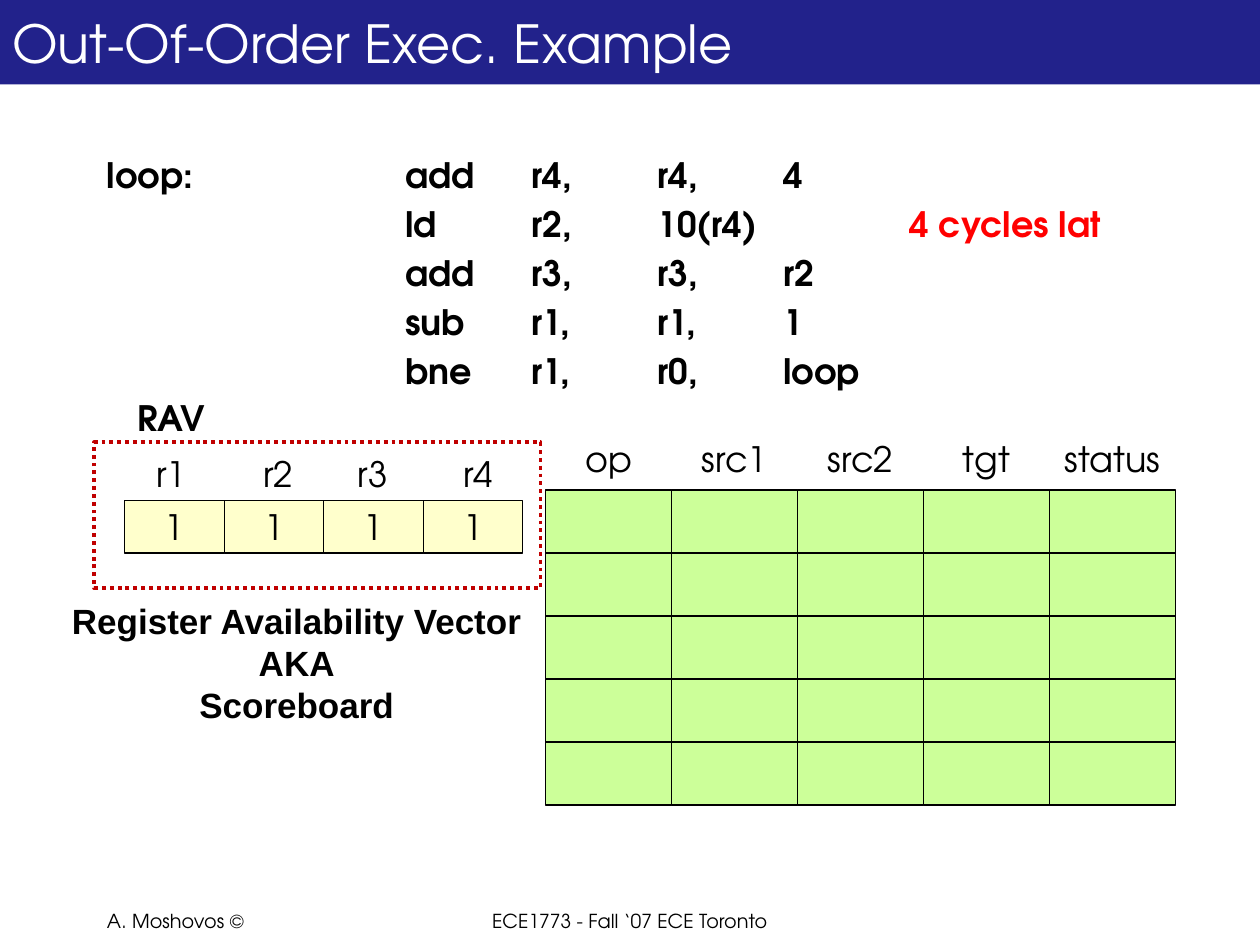
from lxml import etree
from pptx import Presentation
from pptx.dml.color import RGBColor
from pptx.enum.dml import MSO_LINE
from pptx.enum.shapes import MSO_SHAPE
from pptx.enum.text import MSO_ANCHOR, PP_ALIGN
from pptx.oxml.ns import qn
from pptx.util import Inches, Pt

RECTANGLE = MSO_SHAPE.RECTANGLE
DOTTED = MSO_LINE.ROUND_DOT
LEFT, CENTER = PP_ALIGN.LEFT, PP_ALIGN.CENTER
TOP, MIDDLE = MSO_ANCHOR.TOP, MSO_ANCHOR.MIDDLE

BLACK = RGBColor(0x00, 0x00, 0x00)
WHITE = RGBColor(0xFF, 0xFF, 0xFF)
NAVY = RGBColor(0x22, 0x22, 0x8B)
RED = RGBColor(0xFF, 0x00, 0x00)
DARK_RED = RGBColor(0xC0, 0x00, 0x00)
CREAM = RGBColor(0xFF, 0xFF, 0xCC)
GREEN = RGBColor(0xCC, 0xFF, 0x99)

MAIN_FONT = "TeX Gyre Adventor"
CODE_TABS = (2.37, 3.37, 4.37, 5.37, 6.37)
CODE_LINES = (
    ("loop:\tadd\tr4,\tr4,\t4", ""),
    ("\tld\tr2,\t10(r4)\t\t", "4 cycles lat"),
    ("\tadd\tr3,\tr3,\tr2", ""),
    ("\tsub\tr1,\tr1,\t1", ""),
    ("\tbne\tr1,\tr0,\tloop", ""),
)
REGISTERS = (("r1", 1.14), ("r2", 1.99), ("r3", 2.74), ("r4", 3.58))
REGISTER_LEFT, REGISTER_WIDTH = 0.99, 0.79
COLUMNS = ("op", "src1", "src2", "tgt", "status")
TABLE_LEFT, TABLE_TOP = 4.33, 3.89
ROW_COUNT, ROW_HEIGHT, COLUMN_WIDTH = 5, 0.5, 1


def style_paragraph(paragraph, size=20, color=BLACK, bold=False, font=MAIN_FONT):
    """Set the font of a whole paragraph."""
    paragraph.font.name = font
    paragraph.font.size = Pt(size)
    paragraph.font.bold = bold
    paragraph.font.color.rgb = color


def write_lines(shape, lines, align=LEFT, anchor=TOP, wrap=False, **style):
    """Fill a shape with one styled paragraph per line."""
    frame = shape.text_frame
    frame.word_wrap = wrap
    frame.vertical_anchor = anchor
    for index, line in enumerate(lines):
        paragraph = frame.add_paragraph() if index else frame.paragraphs[0]
        paragraph.text = line
        paragraph.alignment = align
        style_paragraph(paragraph, **style)


def add_label(slide, left, top, width, height, *lines, **style):
    """Add a text box holding the given lines."""
    box = slide.shapes.add_textbox(
        Inches(left), Inches(top), Inches(width), Inches(height))
    write_lines(box, lines, **style)


def add_box(slide, left, top, width, height, fill=None, line=None, weight=0.75):
    """Add a rectangle with an optional fill and outline."""
    box = slide.shapes.add_shape(
        RECTANGLE, Inches(left), Inches(top), Inches(width), Inches(height))
    box.shadow.inherit = False
    if fill is None:
        box.fill.background()
    else:
        box.fill.solid()
        box.fill.fore_color.rgb = fill
    if line is None:
        box.line.fill.background()
    else:
        box.line.color.rgb = line
        box.line.width = Pt(weight)
    return box


def add_tab_stops(paragraph, positions):
    """Give a paragraph left tab stops at the given inches."""
    tab_list = etree.SubElement(paragraph._p.get_or_add_pPr(), qn("a:tabLst"))
    for position in positions:
        etree.SubElement(tab_list, qn("a:tab"), pos=str(Inches(position)), algn="l")


def add_code(slide):
    """Add the assembly loop with its latency remark."""
    box = slide.shapes.add_textbox(
        Inches(0.75), Inches(1.17), Inches(8.5), Inches(1.7))
    frame = box.text_frame
    frame.word_wrap = True
    for index, (instruction, remark) in enumerate(CODE_LINES):
        paragraph = frame.add_paragraph() if index else frame.paragraphs[0]
        if index:
            paragraph.space_before = Pt(4)
        add_tab_stops(paragraph, CODE_TABS)
        style_paragraph(paragraph, bold=True)
        paragraph.add_run().text = instruction
        if remark:
            run = paragraph.add_run()
            run.text = remark
            run.font.color.rgb = RED


def add_register_vector(slide):
    """Add the register availability vector, its frame and captions."""
    add_label(slide, 0.99, 3.1, 0.76, 0.43, "RAV", bold=True)
    for index, (name, label_left) in enumerate(REGISTERS):
        cell = add_box(slide, REGISTER_LEFT + index * REGISTER_WIDTH, 3.97,
                       REGISTER_WIDTH, 0.42, CREAM, BLACK)
        write_lines(cell, ["1"], align=CENTER, anchor=MIDDLE)
        add_label(slide, label_left, 3.54, 0.44, 0.43, name)
    frame = add_box(slide, 0.75, 3.51, 3.54, 1.16, line=DARK_RED, weight=2.25)
    frame.line.dash_style = DOTTED
    add_label(slide, 0.46, 4.71, 3.79, 1.11, "Register Availability Vector",
              "AKA", "Scoreboard", align=CENTER, bold=True, font="Arial")


def add_instruction_grid(slide):
    """Add the empty instruction grid under its column headings."""
    for column, heading in enumerate(COLUMNS):
        left = TABLE_LEFT + column * COLUMN_WIDTH
        add_label(slide, left, TABLE_TOP - ROW_HEIGHT, COLUMN_WIDTH, ROW_HEIGHT,
                  heading, align=CENTER, anchor=MIDDLE)
        for row in range(ROW_COUNT):
            add_box(slide, left, TABLE_TOP + row * ROW_HEIGHT,
                    COLUMN_WIDTH, ROW_HEIGHT, GREEN, BLACK)


def main():
    """Build and save the slide."""
    presentation = Presentation()
    presentation.slide_width = Inches(10)
    presentation.slide_height = Inches(7.5)
    slide = presentation.slides.add_slide(presentation.slide_layouts[6])
    add_label(slide, 0.75, 7.17, 2.08, 0.42, "A. Moshovos ©", size=11, wrap=True)
    add_label(slide, 3.25, 7.17, 3.5, 0.42, "ECE1773 - Fall ‘07 ECE Toronto",
              size=11, align=CENTER, wrap=True)
    title = add_box(slide, 0, 0, 10, 0.67, NAVY)
    write_lines(title, ["Out-Of-Order Exec. Example"], anchor=MIDDLE, wrap=True,
                size=30, color=WHITE)
    add_code(slide)
    add_register_vector(slide)
    add_instruction_grid(slide)
    presentation.save("out.pptx")


if __name__ == "__main__":
    main()
